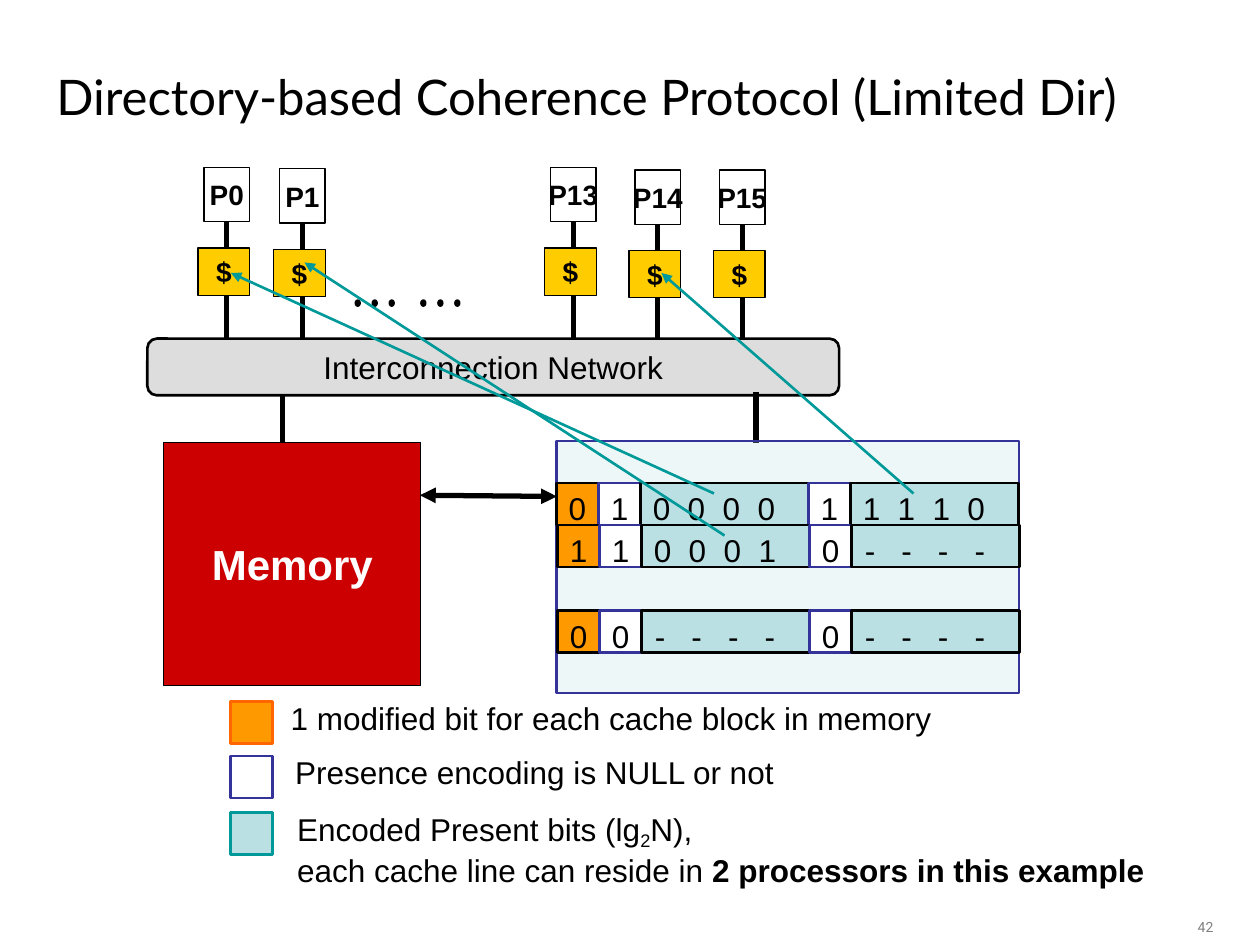
"""Build the slide on a directory-based coherence protocol with a limited directory."""
from lxml import etree
from pptx import Presentation
from pptx.dml.color import RGBColor
from pptx.enum import shapes, text
from pptx.oxml.ns import qn
from pptx.util import Pt

BLACK = RGBColor(0x00, 0x00, 0x00)
WHITE = RGBColor(0xFF, 0xFF, 0xFF)
GREY = RGBColor(0x80, 0x80, 0x80)
SILVER = RGBColor(0xDD, 0xDD, 0xDD)
RED = RGBColor(0xCC, 0x00, 0x00)
YELLOW = RGBColor(0xFF, 0xCC, 0x00)
ORANGE = RGBColor(0xFF, 0x99, 0x00)
DARK_ORANGE = RGBColor(0xFF, 0x66, 0x00)
NAVY = RGBColor(0x33, 0x33, 0x99)
TEAL = RGBColor(0x00, 0x99, 0x99)
PALE = RGBColor(0xBB, 0xE0, 0xE3)

TITLE = "Directory-based Coherence Protocol (Limited Dir)"
PROCESSORS = [("P0", 116.6, 95.8), ("P1", 159.8, 96.5), ("P13", 314.6, 95.8),
              ("P14", 362.9, 97.2), ("P15", 411.1, 97.2)]
ENTRIES = [
    (318, 276, ["0", "1", "0 0 0 0", "1", "1 1 1 0"]),
    (318.6, 300, ["1", "1", "0 0 0 1", "0", "- - - -"]),
    (318.6, 349, ["0", "0", "- - - -", "0", "- - - -"]),
]
FIELDS = [(24, ORANGE, BLACK), (24, WHITE, NAVY), (96, PALE, BLACK),
          (24, WHITE, NAVY), (96, PALE, BLACK)]
LEGEND = [
    (401, ORANGE, DARK_ORANGE, (159, 396, 381, 29),
     [[("1 modified bit for each cache block in memory", {})]]),
    (432, WHITE, NAVY, (161.6, 427, 289, 29),
     [[("Presence encoding is NULL or not", {})]]),
    (464.4, PALE, TEAL, (162.7, 459.4, 515, 52.6),
     [[("Encoded Present bits (lg", {}), ("2", {"baseline": -18000}), ("N),", {})],
      [("each cache line can reside in ", {}),
       ("2 processors in this example", {"bold": True})]]),
]
POINTERS = [((408, 282), (132, 156)), ((522, 282), (378, 156)), ((414, 306), (174, 150))]
NETWORK_TOP = 193.5

prs = Presentation()
prs.slide_width, prs.slide_height = Pt(720), Pt(540)
s = prs.slides.add_slide(prs.slide_layouts[6])


def write(sp, content, size=18, font="Arial", color=BLACK, bold=False, align="CENTER",
          anchor="MIDDLE", wrap=True, insets=(7.2, 3.6, 7.2, 3.6), spacing=0):
    tf = sp.text_frame
    tf.word_wrap = wrap
    tf.vertical_anchor = getattr(text.MSO_ANCHOR, anchor)
    tf.margin_left, tf.margin_top, tf.margin_right, tf.margin_bottom = map(Pt, insets)
    paragraphs = [[(content, {})]] if isinstance(content, str) else content
    for i, runs in enumerate(paragraphs):
        p = tf.add_paragraph() if i else tf.paragraphs[0]
        p.alignment = getattr(text.PP_ALIGN, align)
        for words, extra in runs:
            r = p.add_run()
            r.text = words
            r.font.name, r.font.size = font, Pt(size)
            r.font.bold = extra.get("bold", bold)
            r.font.color.rgb = color
            if "baseline" in extra:
                r.font._element.set("baseline", str(extra["baseline"]))
            if spacing:
                r.font._element.set("spc", str(int(spacing * 100)))


def label(box, content, **fmt):
    write(s.shapes.add_textbox(*map(Pt, box)), content, **fmt)


def shape(box, fill, line=BLACK, width=0.75, kind="RECTANGLE"):
    sp = s.shapes.add_shape(getattr(shapes.MSO_SHAPE, kind), *map(Pt, box))
    sp.shadow.inherit = False
    sp.fill.solid()
    sp.fill.fore_color.rgb = fill
    sp.line.color.rgb = line
    sp.line.width = Pt(width)
    return sp


def line(start, end, color=BLACK, width=3, arrows=()):
    c = s.shapes.add_connector(shapes.MSO_CONNECTOR.STRAIGHT, *map(Pt, (*start, *end)))
    c.line.color.rgb = color
    c.line.width = Pt(width)
    for tag in arrows:
        etree.SubElement(c.line._get_or_add_ln(), qn(f"a:{tag}"), type="triangle")
    etree.SubElement(c._element.spPr, qn("a:effectLst"))
    return c


label((653, 521.3, 47.5, 12.2), "42", size=8, font="Roboto", color=GREY,
      align="RIGHT", anchor="TOP")
label((25.2, 25.2, 648, 59.8), TITLE, size=28, font="Lato", align="LEFT")

for name, x, y in PROCESSORS:
    cpu = shape((x, y, 26, 31), WHITE)
    write(cpu, name, size=16, bold=True, wrap=False)
    bus = line((x + 13, y + 31), (x + 13, NETWORK_TOP))
    bus.begin_connect(cpu, 2)
    cache = shape((x - 3.4, y + 46, 29.5, 27), YELLOW)
    write(cache, "$", size=16, bold=True, wrap=False)

for left in (203, 240.5):
    for i in range(3):
        shape((left + 9.7 * i, 171.4, 2.9, 3.6), BLACK, kind="OVAL")

memory = shape((93.6, 252.7, 146.9, 139), RED)
write(memory, "Memory", size=24, color=WHITE, bold=True, wrap=False)
line((161.3, 223.2), (161.3, 252.7))
network = shape((84.2, NETWORK_TOP, 395.3, 32.4), SILVER, width=1.5, kind="ROUNDED_RECTANGLE")
write(network, "Interconnection Network")
line((240, 283), (318.2, 283.7), arrows=("headEnd", "tailEnd"))
line((432, 224), (432, 253.4))

directory = shape((318.2, 252, 264.2, 144), PALE, NAVY, 1.5)
fill_color = directory.fill._xPr.find(qn("a:solidFill"))[0]
etree.SubElement(fill_color, qn("a:alpha"), val="25000")

for x, y, bits in ENTRIES:
    for (width, fill, border), value in zip(FIELDS, bits):
        cell = shape((x, y, width, 24), fill, border, 1.5)
        wide = len(value) > 1
        spacing = (5 if "-" in value else 2.5) if wide else 0
        write(cell, value, anchor="TOP", wrap=False, spacing=spacing,
              insets=(0, 3.3, 12 if wide else 0, 0))
        x += width

for y, fill, border, box, content in LEGEND:
    shape((131.8, y, 24, 24), fill, border, 1.5)
    label(box, content, align="LEFT", anchor="TOP")

for start, end in POINTERS:
    line(start, end, TEAL, 1.5, arrows=("tailEnd",))

prs.save("out.pptx")
